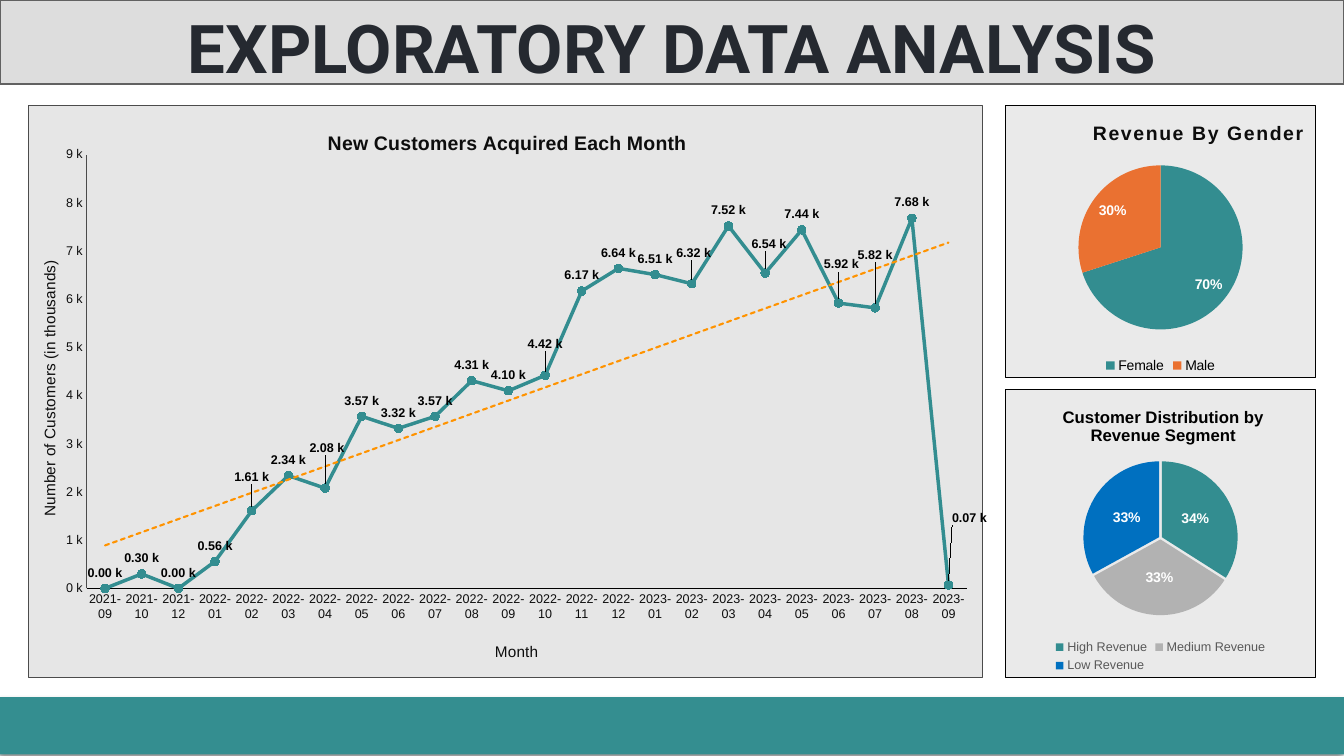
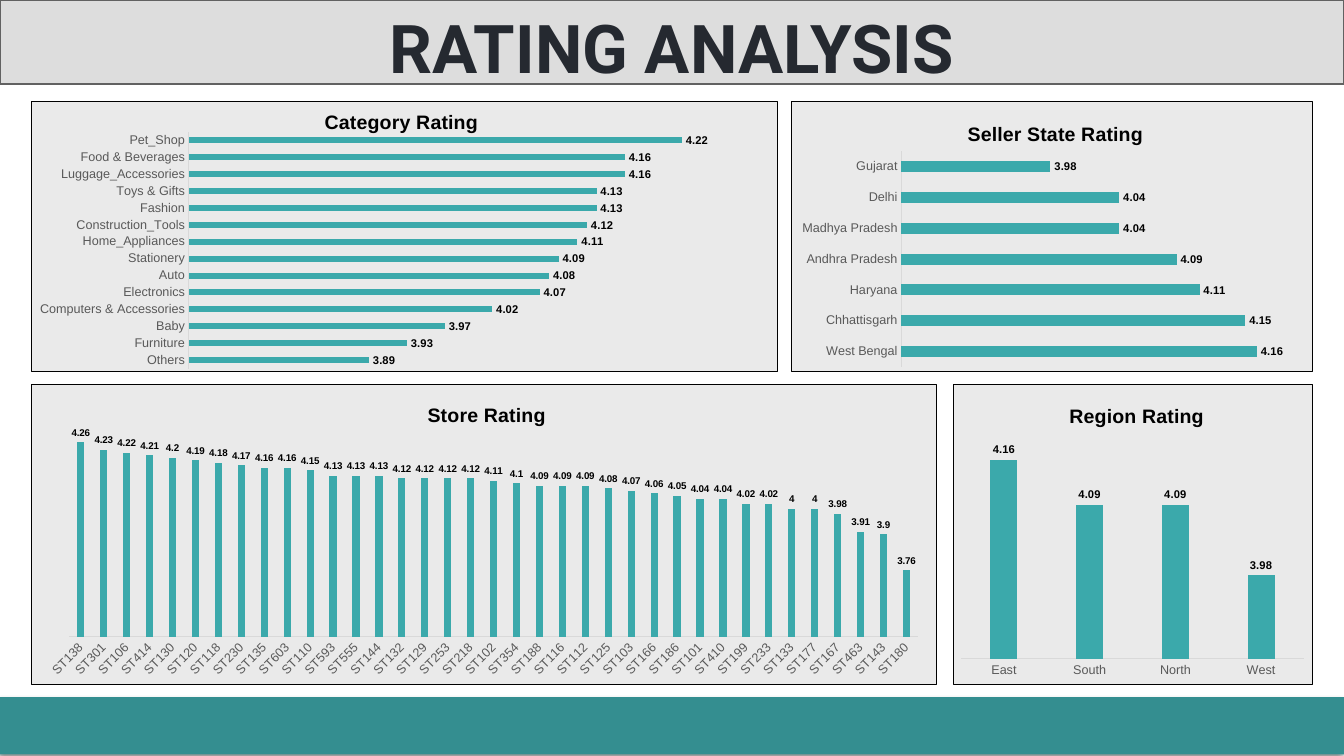
"""Build two dashboard slides: exploratory data analysis and rating analysis."""
from dataclasses import dataclass, field
from typing import Any, Optional

from lxml import etree
from pptx import Presentation
from pptx.chart.data import CategoryChartData
from pptx.dml.color import RGBColor
from pptx.enum.chart import (XL_CHART_TYPE, XL_LABEL_POSITION, XL_LEGEND_POSITION,
                             XL_MARKER_STYLE, XL_TICK_MARK)
from pptx.enum.shapes import MSO_SHAPE
from pptx.enum.text import MSO_ANCHOR, PP_ALIGN
from pptx.oxml import parse_xml
from pptx.oxml.ns import nsdecls, qn
from pptx.util import Pt

LINE, PIE = XL_CHART_TYPE.LINE_MARKERS, XL_CHART_TYPE.PIE
BAR, COLUMN = XL_CHART_TYPE.BAR_CLUSTERED, XL_CHART_TYPE.COLUMN_CLUSTERED
ABOVE, OUTSIDE = XL_LABEL_POSITION.ABOVE, XL_LABEL_POSITION.OUTSIDE_END
CENTER, INSIDE = XL_LABEL_POSITION.CENTER, XL_LABEL_POSITION.INSIDE_END
LEGEND_BOTTOM = XL_LEGEND_POSITION.BOTTOM
NO_TICK = XL_TICK_MARK.NONE
CIRCLE = XL_MARKER_STYLE.CIRCLE
RECTANGLE = MSO_SHAPE.RECTANGLE
MIDDLE, CENTERED = MSO_ANCHOR.MIDDLE, PP_ALIGN.CENTER


@dataclass(frozen=True)
class Theme:
    """Colours, fonts and type sizes of the deck."""
    footer: str = "348E90"
    band: str = "DDDDDD"
    band_line: str = "616161"
    heading: str = "252930"
    teal: str = "338D90"
    bar: str = "3BA9AB"
    orange: str = "EA7131"
    silver: str = "B2B2B2"
    blue: str = "0070C0"
    trend: str = "FF9300"
    panel: str = "EAEAEA"
    line_panel: str = "E6E6E6"
    frame: str = "4B4B4B"
    black: str = "000000"
    ink: str = "0D0D0D"
    muted: str = "595959"
    rule: str = "D9D9D9"
    white: str = "FFFFFF"
    heading_font: str = "Roboto"
    body_font: str = "Arial"
    heading_size: float = 48
    title_size: float = 14
    axis_title_size: float = 11
    base_size: float = 10
    tick_size: float = 9
    bar_label_size: float = 8


THEME = Theme()


@dataclass(frozen=True)
class Panel:
    """One chart panel, its box in points and its inner parts as fractions."""
    kind: Any
    box: tuple[float, float, float, float]
    title: str
    title_at: tuple[float, float]
    plot_at: tuple[float, float, float, float]
    cats: list[str]
    vals: list[float]
    scale: tuple[float, float] = (0, 1)
    title_size: float = THEME.title_size
    title_color: str = THEME.black
    spacing: int = 0
    fill: str = THEME.panel
    border: str = THEME.black
    label_size: float = THEME.bar_label_size
    label_pos: Any = OUTSIDE
    plot_format: dict[str, int] = field(default_factory=dict)
    tick_angle: Optional[int] = None
    slices: tuple[str, ...] = ()
    explosion: int = 0
    legend_size: float = THEME.base_size
    legend_color: str = THEME.black
    label_shifts: dict[int, tuple[float, float]] = field(default_factory=dict)


def assign(target: Any, **values: Any) -> None:
    """Set each named attribute on the target."""
    for name, value in values.items():
        setattr(target, name, value)


def style_font(font: Any, size: float, color: str, bold: bool = False,
               name: str = THEME.body_font) -> None:
    """Apply size, colour, weight and typeface."""
    assign(font, size=Pt(size), bold=bold, name=name)
    font.color.rgb = RGBColor.from_string(color)


def paint(part: Any, color: str) -> None:
    """Give a fill or a line one solid colour."""
    part.fill.solid()
    part.fill.fore_color.rgb = RGBColor.from_string(color)


def stroke(line: Any, color: str, width: float = 0.75) -> None:
    """Set a line's colour and width."""
    paint(line, color)
    line.width = Pt(width)


def place(parent: Any, index: int, *fractions: float, inner: bool = False) -> None:
    """Give a chart part a manual layout."""
    for old in parent.findall(qn("c:layout")):
        parent.remove(old)
    layout = parse_xml(f"<c:layout {nsdecls('c')}><c:manualLayout/></c:layout>")
    settings = [("layoutTarget", "inner")] if inner else []
    if len(fractions) == 4 or parent.tag == qn("c:title"):
        settings += [("xMode", "edge"), ("yMode", "edge")]
    settings += list(zip("xywh", map(str, fractions)))
    for tag, value in settings:
        etree.SubElement(layout[0], qn(f"c:{tag}")).set("val", value)
    parent.insert(index, layout)


def write_title(title: Any, text: str, at: tuple[float, float], size: float, color: str,
                bold: bool = True, spacing: int = 0) -> None:
    """Write a chart or axis title at a fixed spot."""
    title.text_frame.text = text
    for paragraph in title.text_frame.paragraphs:
        for run in paragraph.runs:
            style_font(run.font, size, color, bold)
            if spacing:
                run.font._element.set("spc", str(spacing))
    place(title._element, 1, *at)


def style_axis(axis: Any, color: str, line: str) -> None:
    """Format an axis without ticks or gridlines."""
    assign(axis, major_tick_mark=NO_TICK, minor_tick_mark=NO_TICK, has_major_gridlines=False)
    style_font(axis.tick_labels.font, THEME.tick_size, color)
    stroke(axis.format.line, line)


def style_line(chart: Any, panel: Panel, number_format: str) -> None:
    """Format the monthly line, its trend, axis titles and shifted labels."""
    series = chart.plots[0].series[0]
    series.smooth = False
    stroke(series.format.line, THEME.teal, 2.5)
    assign(series.marker, style=CIRCLE, size=6)
    paint(series.marker.format, THEME.teal)
    stroke(series.marker.format.line, THEME.teal)
    for index, shift in panel.label_shifts.items():
        label = series.points[index].data_label
        style_font(label.font, panel.label_size, THEME.black, True)
        label.position = panel.label_pos
    for element, shift in zip(series._element.iter(qn("c:dLbl")), panel.label_shifts.values()):
        place(element, 1, *shift)
        code = etree.Element(qn("c:numFmt"))
        code.set("formatCode", number_format)
        code.set("sourceLinked", "0")
        element.insert(2, code)
    series._element.find(qn("c:cat")).addprevious(parse_xml(
        f'<c:trendline {nsdecls("c", "a")}><c:spPr><a:ln w="{Pt(1.5)}" cap="rnd"><a:solidFill>'
        f'<a:srgbClr val="{THEME.trend}"/></a:solidFill><a:prstDash val="sysDash"/></a:ln></c:spPr>'
        '<c:trendlineType val="linear"/><c:dispRSqr val="0"/><c:dispEq val="0"/></c:trendline>'))
    values, months = chart.value_axis, chart.category_axis
    style_axis(values, THEME.ink, THEME.frame)
    values.major_unit = 1000
    assign(values.tick_labels, number_format='#,##0,\\ "k"', number_format_is_linked=False)
    for axis, text, at in ((months, "Month", (0.486, 0.932)),
                           (values, "Number of Customers (in thousands)", (0.008, 0.264))):
        write_title(axis.axis_title, text, at, THEME.axis_title_size, THEME.ink, False)
    values.axis_title.text_frame._txBody.bodyPr.set("rot", "-5400000")


def style_pie(chart: Any, panel: Panel) -> None:
    """Colour the slices and add the legend."""
    series = chart.plots[0].series[0]
    for index, color in enumerate(panel.slices):
        paint(series.points[index].format, color)
    if panel.explosion:
        gap = etree.Element(qn("c:explosion"))
        gap.set("val", str(panel.explosion))
        series._element.find(qn("c:dPt")).addprevious(gap)
    chart.has_legend = True
    assign(chart.legend, position=LEGEND_BOTTOM, include_in_layout=False)
    style_font(chart.legend.font, panel.legend_size, panel.legend_color)


def draw_panel(slide: Any, panel: Panel) -> None:
    """Draw one chart panel."""
    is_pie, is_line = panel.kind == PIE, panel.kind == LINE
    data = CategoryChartData()
    data.categories = panel.cats
    data.add_series("Series 1", panel.vals)
    chart = slide.shapes.add_chart(panel.kind, *map(Pt, panel.box), data).chart
    chart.has_legend = False
    style_font(chart.font, THEME.base_size, THEME.black)
    space = chart._chartSpace
    space.find(qn("c:chart")).addnext(parse_xml(
        f'<c:spPr {nsdecls("c", "a")}><a:solidFill><a:srgbClr val="{panel.fill}"/></a:solidFill>'
        f'<a:ln w="{Pt(0.75)}"><a:solidFill><a:srgbClr val="{panel.border}"/></a:solidFill></a:ln></c:spPr>'))
    write_title(chart.chart_title, panel.title, panel.title_at, panel.title_size,
                panel.title_color, spacing=panel.spacing)
    place(next(space.iter(qn("c:plotArea"))), 0, *panel.plot_at, inner=True)
    plot = chart.plots[0]
    assign(plot, vary_by_categories=is_pie, **panel.plot_format)
    number_format = "0%" if is_pie else '#,##0.00,\\ "k"' if is_line else "General"
    labels = plot.series[0].data_labels
    assign(labels, show_value=not is_pie, show_percentage=is_pie, position=panel.label_pos,
           number_format=number_format, number_format_is_linked=False)
    style_font(labels.font, panel.label_size, THEME.white if is_pie else THEME.black, True)
    if is_pie:
        style_pie(chart, panel)
        return
    low, high = panel.scale
    assign(chart.value_axis, minimum_scale=low, maximum_scale=high, has_major_gridlines=False)
    if is_line:
        style_axis(chart.category_axis, THEME.ink, THEME.black)
        style_line(chart, panel, number_format)
        return
    chart.value_axis.visible = False
    style_axis(chart.category_axis, THEME.muted, THEME.rule)
    paint(plot.series[0].format, THEME.bar)
    if panel.tick_angle is not None:
        body = chart.category_axis._element.find(qn("c:txPr")).find(qn("a:bodyPr"))
        body.set("rot", str(panel.tick_angle * 60000))


def draw_frame(slide: Any, heading: str) -> None:
    """Draw the footer band and the heading band."""
    footer = slide.shapes.add_shape(RECTANGLE, Pt(0), Pt(498), Pt(960), Pt(41))
    paint(footer, THEME.footer)
    footer.line.fill.background()
    footer._element.spPr.append(parse_xml(
        f'<a:effectLst {nsdecls("a")}><a:outerShdw blurRad="{Pt(4)}" dist="{Pt(3)}" dir="8100000">'
        f'<a:srgbClr val="{THEME.black}"><a:alpha val="40000"/></a:srgbClr></a:outerShdw></a:effectLst>'))
    band = slide.shapes.add_shape(RECTANGLE, Pt(0), Pt(0), Pt(960), Pt(60))
    band.shadow.inherit = False
    paint(band, THEME.band)
    stroke(band.line, THEME.band_line, 2)
    assign(band.text_frame, text=heading, vertical_anchor=MIDDLE, word_wrap=True)
    paragraph = band.text_frame.paragraphs[0]
    assign(paragraph, alignment=CENTERED, line_spacing=Pt(64.3))
    style_font(paragraph.runs[0].font, THEME.heading_size, THEME.heading, True, THEME.heading_font)


MONTHS = [f"{year}-{month:02}" for year, months in
          ((2021, (9, 10, 12)), (2022, range(1, 13)), (2023, range(1, 10))) for month in months]
STORES = [f"ST{number}" for number in (
    138, 301, 106, 414, 130, 120, 118, 230, 135, 603, 110, 593, 555, 144, 132, 129, 253, 218, 102,
    354, 188, 116, 112, 125, 103, 166, 186, 101, 410, 199, 233, 133, 177, 167, 463, 143, 180)]
BAR_FORMAT = {"gap_width": 182}
COLUMN_FORMAT = {"gap_width": 219, "overlap": -27}

DECK = {
    "EXPLORATORY DATA ANALYSIS": [
        Panel(PIE, (718, 75, 222, 195), "Revenue By Gender", (0.27, 0.04), (0.235, 0.22, 0.53, 0.604),
              ["Female", "Male"], [70, 30], title_color=THEME.ink, spacing=100,
              label_size=THEME.base_size, label_pos=INSIDE, slices=(THEME.teal, THEME.orange)),
        Panel(PIE, (718, 278, 222, 206), "Customer Distribution by\nRevenue Segment", (0.174, 0.05),
              (0.25, 0.247, 0.5, 0.538), ["High Revenue", "Medium Revenue", "Low Revenue"], [34, 33, 33],
              title_size=12, label_size=THEME.base_size, label_pos=CENTER, explosion=2,
              slices=(THEME.teal, THEME.silver, THEME.blue), legend_size=9, legend_color=THEME.muted),
        Panel(LINE, (20, 75, 685, 409), "New Customers Acquired Each Month", (0.31, 0.038),
              (0.061, 0.086, 0.923, 0.759), MONTHS,
              [0, 300, 0, 560, 1610, 2340, 2080, 3570, 3320, 3570, 4310, 4100, 4420, 6170, 6640, 6510,
               6320, 7520, 6540, 7440, 5920, 5820, 7680, 70],
              (0, 9000), title_color=THEME.ink, fill=THEME.line_panel, border=THEME.frame,
              label_size=9, label_pos=ABOVE,
              label_shifts={4: (0, -0.031), 6: (0.002, -0.042), 12: (0, -0.028), 16: (0.002, -0.026),
                            18: (0.004, -0.024), 20: (0.003, -0.04), 21: (0, -0.065),
                            23: (0.022, -0.089)}),
    ],
    "RATING ANALYSIS": [
        Panel(BAR, (22, 72, 534, 194), "Category Rating", (0.388, 0.018), (0.211, 0.113, 0.762, 0.875),
              ["Others", "Furniture", "Baby", "Computers & Accessories", "Electronics", "Auto",
               "Stationery", "Home_Appliances", "Construction_Tools", "Fashion", "Toys & Gifts",
               "Luggage_Accessories", "Food & Beverages", "Pet_Shop"],
              [3.89, 3.93, 3.97, 4.02, 4.07, 4.08, 4.09, 4.11, 4.12, 4.13, 4.13, 4.16, 4.16, 4.22],
              (3.7, 4.3), plot_format=BAR_FORMAT),
        Panel(BAR, (565, 72, 373, 194), "Seller State Rating", (0.331, 0.06), (0.211, 0.185, 0.77, 0.797),
              ["West Bengal", "Chhattisgarh", "Haryana", "Andhra Pradesh", "Madhya Pradesh", "Delhi",
               "Gujarat"], [4.16, 4.15, 4.11, 4.09, 4.04, 4.04, 3.98], (3.85, 4.2),
              plot_format=BAR_FORMAT),
        Panel(COLUMN, (681, 274, 257, 215), "Region Rating", (0.312, 0.053), (0.02, 0.166, 0.956, 0.75),
              ["East", "South", "North", "West"], [4.16, 4.09, 4.09, 3.98], (3.85, 4.2),
              plot_format=COLUMN_FORMAT),
        Panel(COLUMN, (22, 274, 647, 215), "Store Rating", (0.434, 0.05), (0.042, 0.16, 0.938, 0.683),
              STORES,
              [4.26, 4.23, 4.22, 4.21, 4.2, 4.19, 4.18, 4.17, 4.16, 4.16, 4.15, 4.13, 4.13, 4.13, 4.12,
               4.12, 4.12, 4.12, 4.11, 4.1, 4.09, 4.09, 4.09, 4.08, 4.07, 4.06, 4.05, 4.04, 4.04, 4.02,
               4.02, 4, 4, 3.98, 3.91, 3.9, 3.76],
              (3.5, 4.3), label_size=7, plot_format=COLUMN_FORMAT, tick_angle=-45),
    ],
}


def main() -> None:
    """Build and save the deck."""
    deck = Presentation()
    assign(deck, slide_width=Pt(960), slide_height=Pt(540))
    for heading, panels in DECK.items():
        slide = deck.slides.add_slide(deck.slide_layouts[6])
        draw_frame(slide, heading)
        for panel in panels:
            draw_panel(slide, panel)
    deck.save("out.pptx")


if __name__ == "__main__":
    main()
